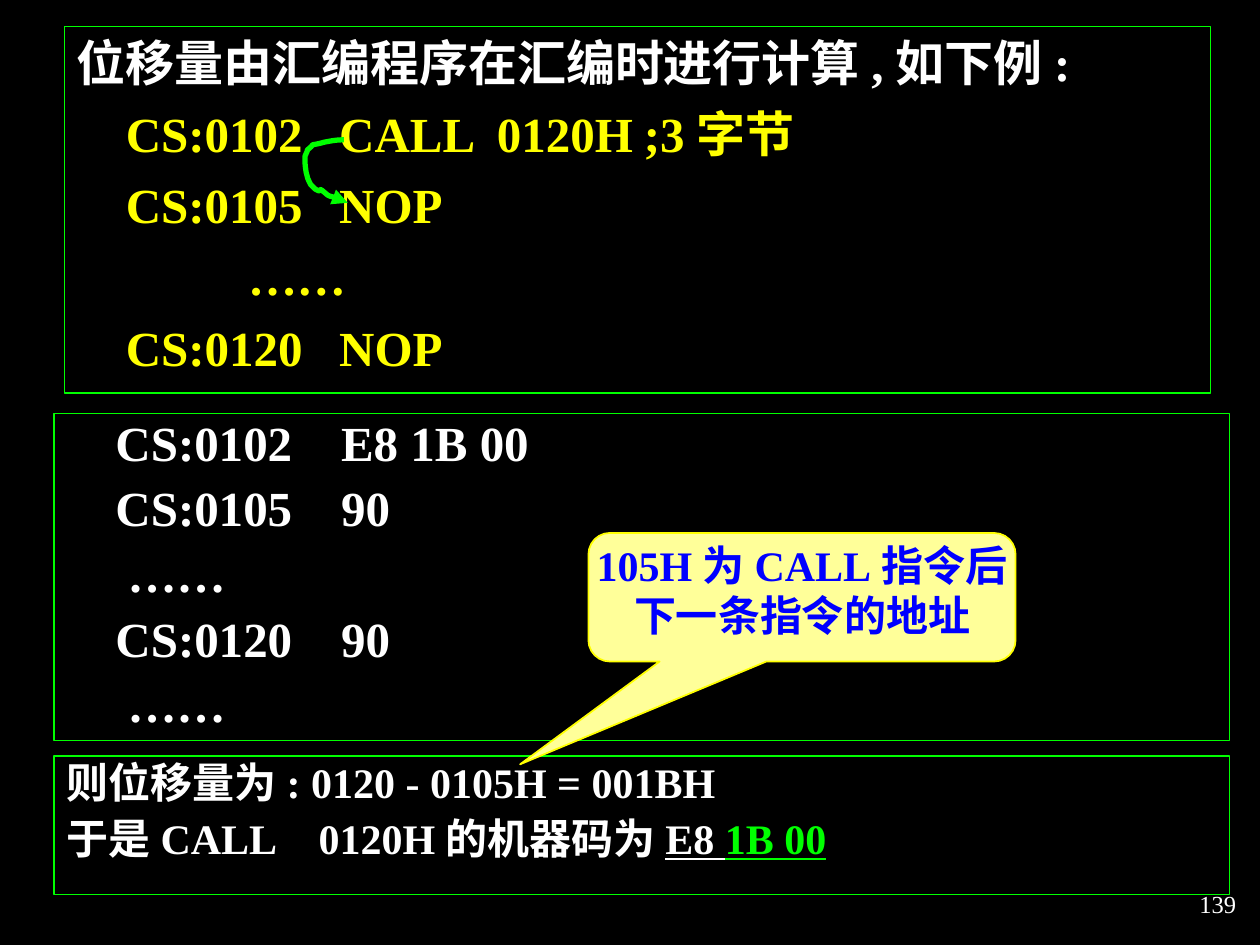
from dataclasses import dataclass

from lxml.etree import SubElement
from pptx import Presentation
from pptx.dml.color import RGBColor as RGB
from pptx.enum.shapes import MSO_SHAPE as SHAPE
from pptx.enum.text import MSO_ANCHOR as ANCHOR, MSO_AUTO_SIZE as AUTO, PP_ALIGN as ALIGN
from pptx.oxml.ns import qn
from pptx.util import Inches, Pt


@dataclass(frozen=True)
class Theme:
    font: str = "Times New Roman"
    back: str = "000000"
    text: str = "FFFFFF"
    code: str = "FFFF00"
    accent: str = "00FF00"
    note: str = "0000FF"
    note_fill: str = "FFFF99"
    large: int = 28
    medium: int = 24
    small: int = 14


class Deck:
    """Holds the theme and the current slide; lengths are cells of a 100 x 75 grid."""

    COLS, ROWS = 100, 75

    def __init__(self, theme):
        self.theme = theme
        self.prs = Presentation()
        self.prs.slide_width, self.prs.slide_height = Inches(10), Inches(7.5)

    def x(self, cols):
        return round(self.prs.slide_width * cols / self.COLS)

    def y(self, rows):
        return round(self.prs.slide_height * rows / self.ROWS)

    def area(self, left, top, width, height):
        return self.x(left), self.y(top), self.x(width), self.y(height)

    def new_slide(self):
        self.s = self.prs.slides.add_slide(self.prs.slide_layouts[1])
        fill = self.s.background.fill
        fill.solid()
        fill.fore_color.rgb = RGB.from_string(self.theme.back)
        title = self.s.shapes.title
        title.element.getparent().remove(title.element)

    def style(self, sp, line, width=0.75, fill=None):
        if fill:
            sp.fill.solid()
            sp.fill.fore_color.rgb = RGB.from_string(fill)
        else:
            sp.fill.background()
        sp.line.color.rgb = RGB.from_string(line)
        sp.line.width = Pt(width)

    def set_text(self, sp, lines, size, bold=True, gap=0, spacing=1.0, align=ALIGN.LEFT,
                 anchor=ANCHOR.TOP, inset=(0.1, 0.05), tab=None):
        """Each line is a list of (text, format) runs."""
        tf = sp.text_frame
        side, edge = map(Inches, inset)
        frame = dict(word_wrap=True, auto_size=AUTO.NONE, vertical_anchor=anchor,
                     margin_left=side, margin_right=side, margin_top=edge, margin_bottom=edge)
        for name, value in frame.items():
            setattr(tf, name, value)
        for i, runs in enumerate(lines):
            p = tf.paragraphs[0] if i == 0 else tf.add_paragraph()
            ppr = p._p.get_or_add_pPr()
            ppr.set("marL", "0")
            ppr.set("indent", "0")
            SubElement(ppr, qn("a:buNone"))
            if tab:
                tabs = SubElement(ppr, qn("a:tabLst"))
                SubElement(tabs, qn("a:tab"), pos=str(self.x(tab)), algn="l")
            layout = dict(alignment=align, line_spacing=spacing,
                          space_before=Pt(gap if i else 0), space_after=Pt(0))
            for name, value in layout.items():
                setattr(p, name, value)
            for text, look in runs:
                r = p.add_run()
                r.text = text
                look = dict(look)
                r.font.color.rgb = RGB.from_string(look.pop("color", self.theme.text))
                look.update(name=self.theme.font, size=Pt(size), bold=bold)
                for name, value in look.items():
                    setattr(r.font, name, value)

    def body(self, area, lines, **look):
        sp = self.s.placeholders[1]
        sp.left, sp.top, sp.width, sp.height = self.area(*area)
        self.style(sp, self.theme.accent)
        self.set_text(sp, lines, **look)

    def panel(self, area, lines, **look):
        sp = self.s.shapes.add_shape(SHAPE.RECTANGLE, *self.area(*area))
        sp.shadow.inherit = False
        self.style(sp, self.theme.accent)
        self.set_text(sp, lines, **look)

    def callout(self, area, tip, lines, **look):
        sp = self.s.shapes.add_shape(SHAPE.ROUNDED_RECTANGULAR_CALLOUT, *self.area(*area))
        sp.shadow.inherit = False
        sp.adjustments[0], sp.adjustments[1] = tip
        self.style(sp, self.theme.code, 1, self.theme.note_fill)
        self.set_text(sp, lines, align=ALIGN.CENTER, inset=(0, 0), **look)

    def label(self, area, lines, **look):
        self.set_text(self.s.shapes.add_textbox(*self.area(*area)), lines, **look)

    def curved_arrow(self, start, curves, steps=6):
        """Follows cubic curves, each given as two controls and an end point."""
        points, here = [], start
        for c1, c2, end in curves:
            for t in (n / steps for n in range(1, steps + 1)):
                weights = (1 - t) ** 3, 3 * t * (1 - t) ** 2, 3 * t * t * (1 - t), t ** 3
                x, y = (sum(w * q[axis] for w, q in zip(weights, (here, c1, c2, end)))
                        for axis in (0, 1))
                points.append((self.x(x), self.y(y)))
            here = end
        outline = self.s.shapes.build_freeform(self.x(start[0]), self.y(start[1]))
        outline.add_line_segments(points, close=False)
        sp = outline.convert_to_shape()
        sp.shadow.inherit = False
        self.style(sp, self.theme.accent, 3)
        ln = sp.element.spPr.find(qn("a:ln"))
        SubElement(ln, qn("a:round"))
        SubElement(ln, qn("a:tailEnd"), type="triangle")


def main():
    theme = Theme()
    deck = Deck(theme)
    deck.new_slide()

    # Assembly listing
    source = ["    CS:0102   CALL  0120H\t;3字节", "    CS:0105   NOP",
              "              ……", "    CS:0120   NOP"]
    deck.body((5.1, 2.1, 91, 29.1),
              [[("位移量由汇编程序在汇编时进行计算,如下例:", {})]]
              + [[(text, {"color": theme.code})] for text in source],
              size=theme.large, gap=7, tab=50)

    # Displacement result
    deck.panel((4.3, 60, 93.3, 11),
               [[("则位移量为: 0120 - 0105H = 001BH", {})],
                [("于是CALL\t0120H的机器码为", {}), ("E8 ", {"underline": True}),
                 ("1B 00", {"underline": True, "color": theme.accent})]],
               size=theme.medium, gap=6, spacing=0.9, tab=20)

    # Machine code listing
    machine = ["    CS:0102    E8 1B 00", "    CS:0105    90", "     ……",
               "    CS:0120    90", "     ……"]
    deck.panel((4.3, 32.8, 93.3, 26), [[(text, {})] for text in machine],
               size=theme.large, gap=7, spacing=0.9)

    # Note on the next address
    deck.callout((46.7, 42.3, 33.9, 10.2), (-0.66, 1.3),
                 [[("105H为CALL指令后下一条指令的地址", {"color": theme.note})]],
                 size=theme.medium)

    # Arrow from CALL to the next instruction
    deck.curved_arrow((27.3, 11.1), [
        ((26.7, 11.1), (26.2, 11.2), (25.7, 11.3)),
        ((25.4, 11.4), (24.8, 11.5), (24.8, 11.5)),
        ((24.8, 11.6), (24.4, 11.9), (24.4, 11.9)),
        ((24.4, 12.1), (24.2, 12.3), (24.2, 12.5)),
        ((24.2, 12.8), (24.2, 14.5), (25, 15)),
        ((25.8, 15.5), (25, 14.6), (25.9, 15.4)),
        ((26.1, 15.6), (26.3, 15.6), (26.7, 15.7)),
        ((27, 15.9), (27.3, 15.9), (27.6, 16.1)),
    ])

    # Page number
    deck.label((78.3, 69.2, 20.8, 5), [[("139", {})]], size=theme.small, bold=False,
               align=ALIGN.RIGHT, anchor=ANCHOR.MIDDLE)

    deck.prs.save("out.pptx")


if __name__ == "__main__":
    main()
